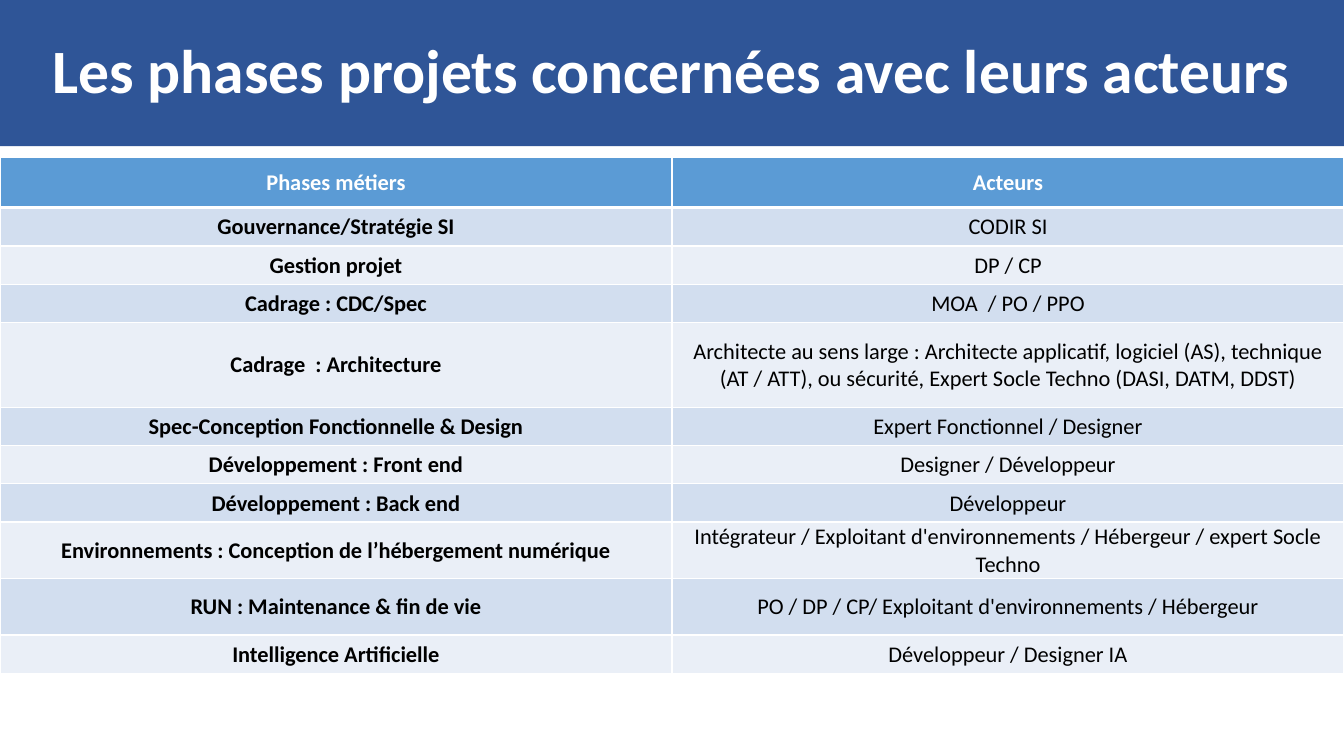
import pptx
import pptx.dml.color
import pptx.enum.text
import pptx.oxml
import pptx.oxml.ns
import pptx.util
from dataclasses import dataclass

Inches = pptx.util.Inches
Pt = pptx.util.Pt
RGB = pptx.dml.color.RGBColor.from_string

TITLE = "Les phases projets concernées avec leurs acteurs"
HEADER = ("Phases métiers", "Acteurs", 0.5)
# phase, actors, row height in inches
PHASES = [
    ("Gouvernance/Stratégie SI", "CODIR SI", 0.38),
    ("Gestion projet", "DP / CP", 0.38),
    ("Cadrage : CDC/Spec", "MOA  / PO / PPO", 0.38),
    ("Cadrage  : Architecture",
     "Architecte au sens large : Architecte applicatif, logiciel (AS), technique "
     "(AT / ATT), ou sécurité, Expert Socle Techno (DASI, DATM, DDST)", 0.84),
    ("Spec-Conception Fonctionnelle & Design", "Expert Fonctionnel / Designer", 0.38),
    ("Développement : Front end", "Designer / Développeur", 0.38),
    ("Développement : Back end", "Développeur", 0.38),
    ("Environnements : Conception de l’hébergement numérique",
     "Intégrateur / Exploitant d'environnements / Hébergeur / expert Socle Techno", 0.56),
    ("RUN : Maintenance & fin de vie",
     "PO / DP / CP/ Exploitant d'environnements / Hébergeur", 0.56),
    ("Intelligence Artificielle", "Développeur / Designer IA", 0.38),
]


@dataclass(frozen=True)
class Theme:
    font: str = "Calibri"
    banner: str = "2F5597"
    header: str = "5B9BD5"
    bands: tuple = ("D2DEEF", "EAEFF7")
    light: str = "FFFFFF"
    dark: str = "000000"
    title_size: int = 44
    table_size: int = 16
    rule: int = 1
    header_rule: int = 3


THEME = Theme()
WIDTH, HEIGHT = Inches(13.33), Inches(7.5)
MIDDLE = pptx.enum.text.MSO_ANCHOR.MIDDLE
CENTER = pptx.enum.text.PP_ALIGN.CENTER


def set_all(target, values):
    for name, value in values.items():
        setattr(target, name, value)


def write(tf, text, size, color, bold):
    p = tf.paragraphs[0]
    p.alignment = CENTER
    r = p.add_run()
    r.text = text
    set_all(r.font, dict(name=THEME.font, size=Pt(size), bold=bold))
    r.font.color.rgb = RGB(color)
    return p


def add_borders(cell, widths):
    """Draw the cell's sides; widths maps L, R, T, B (in that order) to points."""
    tc_pr = cell._tc.get_or_add_tcPr()
    for i, (side, width) in enumerate(widths.items()):
        tc_pr.insert(i, pptx.oxml.parse_xml(
            f'<a:ln{side} {pptx.oxml.ns.nsdecls("a")} w="{Pt(width)}"><a:solidFill>'
            f'<a:srgbClr val="{THEME.light}"/></a:solidFill></a:ln{side}>'))


def add_title(slide):
    sp = slide.shapes.title
    set_all(sp, dict(left=0, top=0, width=WIDTH, height=Inches(1.45)))
    sp.fill.solid()
    sp.fill.fore_color.rgb = RGB(THEME.banner)
    set_all(sp.text_frame, dict(vertical_anchor=MIDDLE, word_wrap=True,
                                auto_size=pptx.enum.text.MSO_AUTO_SIZE.NONE))
    p = write(sp.text_frame, TITLE, THEME.title_size, THEME.light, True)
    p.line_spacing = 0.9


def add_phase_table(slide):
    rows = [HEADER] + PHASES
    total = Inches(sum(row[-1] for row in rows))
    table = slide.shapes.add_table(len(rows), 2, 0, Inches(1.56), WIDTH, total).table
    for i, (*texts, height) in enumerate(rows):
        table.rows[i].height = Inches(height)
        is_header = i == 0
        fill = THEME.header if is_header else THEME.bands[(i - 1) % 2]
        color = THEME.light if is_header else THEME.dark
        top = THEME.header_rule if i == 1 else THEME.rule
        bottom = THEME.header_rule if is_header else THEME.rule
        for j, text in enumerate(texts):
            cell = table.cell(i, j)
            set_all(cell, dict(vertical_anchor=MIDDLE, margin_left=Inches(0.01),
                               margin_right=Inches(0.01), margin_top=Inches(0.01),
                               margin_bottom=0))
            cell.fill.solid()
            cell.fill.fore_color.rgb = RGB(fill)
            add_borders(cell, dict(L=THEME.rule, R=THEME.rule, T=top, B=bottom))
            write(cell.text_frame, text, THEME.table_size, color, is_header or j == 0)


def main():
    prs = pptx.Presentation()
    set_all(prs, dict(slide_width=WIDTH, slide_height=HEIGHT))
    slide = prs.slides.add_slide(prs.slide_layouts[5])
    add_title(slide)
    add_phase_table(slide)
    prs.save("out.pptx")


if __name__ == "__main__":
    main()
